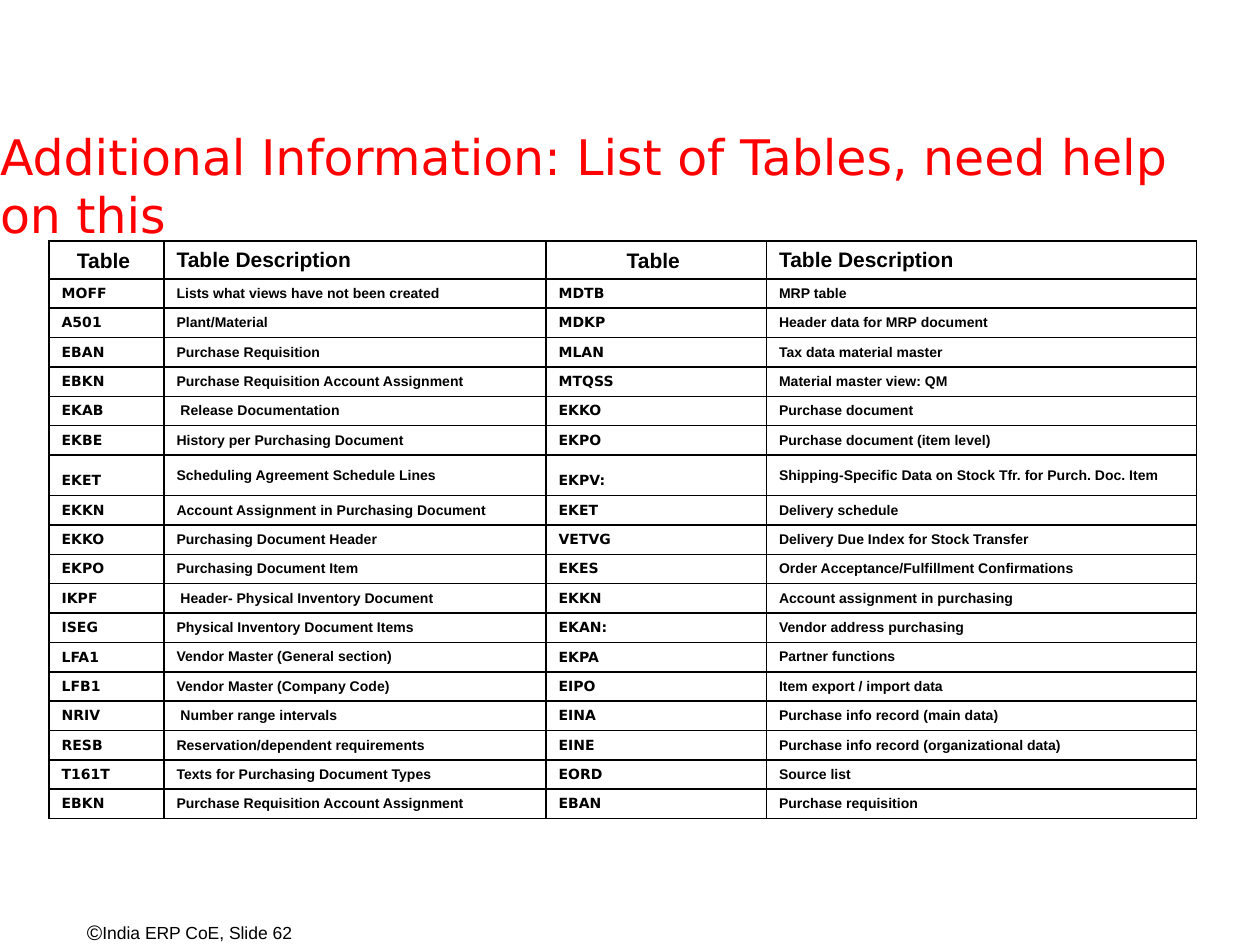
from lxml.etree import SubElement
from pptx import Presentation
from pptx.dml.color import RGBColor
from pptx.enum.text import MSO_ANCHOR, MSO_AUTO_SIZE, PP_ALIGN
from pptx.oxml.ns import qn
from pptx.util import Pt

BLACK = RGBColor(0x00, 0x00, 0x00)
RED = RGBColor(0xFF, 0x00, 0x00)
SANS = "Arial"
WIDE = "DejaVu Sans"

COLUMN_WIDTHS = [65.7, 218.3, 126, 245.7]
HEADER_HEIGHT, ROW_HEIGHT, TALL_HEIGHT = 21.6, 16.8, 23.2
TALL_ROW = 7
HEADER = ("Table ", "Table Description", "Table ", "Table Description")
ROWS = [
    ("MOFF", "Lists what views have not been created", "MDTB", "MRP table"),
    ("A501", "Plant/Material", "MDKP", "Header data for MRP document"),
    ("EBAN", "Purchase Requisition", "MLAN", "Tax data material master"),
    ("EBKN", "Purchase Requisition Account Assignment", "MTQSS",
     "Material master view: QM"),
    ("EKAB", " Release Documentation", "EKKO", "Purchase document"),
    ("EKBE", "History per Purchasing Document", "EKPO",
     "Purchase document (item level)"),
    ("EKET", "Scheduling Agreement Schedule Lines", "EKPV:",
     "Shipping-Specific Data on Stock Tfr. for Purch. Doc. Item"),
    ("EKKN", "Account Assignment in Purchasing Document", "EKET",
     "Delivery schedule"),
    ("EKKO", "Purchasing Document Header", "VETVG",
     "Delivery Due Index for Stock Transfer"),
    ("EKPO", "Purchasing Document Item", "EKES",
     "Order Acceptance/Fulfillment Confirmations"),
    ("IKPF", " Header- Physical Inventory Document", "EKKN",
     "Account assignment in purchasing"),
    ("ISEG", "Physical Inventory Document Items", "EKAN:",
     "Vendor address purchasing"),
    ("LFA1", "Vendor Master (General section)", "EKPA", "Partner functions"),
    ("LFB1", "Vendor Master (Company Code)", "EIPO",
     "Item export / import data"),
    ("NRIV", " Number range intervals", "EINA",
     "Purchase info record (main data)"),
    ("RESB", "Reservation/dependent requirements", "EINE",
     "Purchase info record (organizational data)"),
    ("T161T", "Texts for Purchasing Document Types", "EORD", "Source list"),
    ("EBKN", "Purchase Requisition Account Assignment", "EBAN",
     "Purchase requisition"),
]


def write_text(tf, text, size, font=SANS, color=BLACK, bold=False,
               align=PP_ALIGN.LEFT):
    p = tf.paragraphs[0]
    p.alignment = align
    r = p.add_run()
    r.text = text
    r.font.size = Pt(size)
    r.font.name = font
    r.font.bold = bold
    r.font.color.rgb = color
    return p


def set_frame(tf, anchor):
    """Wrap the text in a frame without insets or autofit."""
    tf.word_wrap = True
    tf.auto_size = MSO_AUTO_SIZE.NONE
    tf.vertical_anchor = anchor
    tf.margin_left = tf.margin_top = tf.margin_right = tf.margin_bottom = 0


def place(sp, left, top, width, height):
    sp.left, sp.top, sp.width, sp.height = map(Pt, (left, top, width, height))


def add_title(slide, text):
    sp = slide.shapes.title
    place(sp, 0, 72, 687.6, 52.6)
    set_frame(sp.text_frame, MSO_ANCHOR.TOP)
    write_text(sp.text_frame, text, 28, font=WIDE, color=RED)


def add_footer(slide, text):
    sp = slide.shapes.add_textbox(Pt(49.7), Pt(528.5), Pt(347), Pt(10.8))
    set_frame(sp.text_frame, MSO_ANCHOR.MIDDLE)
    pPr = sp.text_frame.paragraphs[0]._p.get_or_add_pPr()
    pPr.set("marL", str(Pt(7.2)))
    pPr.set("indent", str(Pt(-7.2)))
    SubElement(pPr, qn("a:buSzPct"), val="120000")
    SubElement(pPr, qn("a:buFont"), typeface=SANS)
    SubElement(pPr, qn("a:buChar"), char="©")
    write_text(sp.text_frame, text, 10).line_spacing = 0.9


def add_borders(cell):
    tcPr = cell._tc.get_or_add_tcPr()
    for side in ("lnL", "lnR", "lnT", "lnB"):
        ln = SubElement(tcPr, qn(f"a:{side}"), w=str(Pt(1)))
        fill = SubElement(ln, qn("a:solidFill"))
        SubElement(fill, qn("a:srgbClr"), val=str(BLACK))


def fill_cell(cell, text, is_header, is_code):
    add_borders(cell)
    cell.fill.background()
    cell.margin_left = cell.margin_right = Pt(7.2)
    cell.margin_top = cell.margin_bottom = Pt(3.6)
    cell.vertical_anchor = MSO_ANCHOR.BOTTOM if is_code else MSO_ANCHOR.MIDDLE
    centred = is_header and is_code
    write_text(cell.text_frame, text, 12 if is_header else 8, bold=True,
               font=WIDE if is_code and not is_header else SANS,
               align=PP_ALIGN.CENTER if centred else PP_ALIGN.LEFT)


def add_code_table(slide):
    rows = [HEADER] + ROWS
    heights = [HEADER_HEIGHT] + [ROW_HEIGHT] * len(ROWS)
    heights[TALL_ROW] = TALL_HEIGHT
    frame = slide.shapes.add_table(
        len(rows), len(HEADER), Pt(28), Pt(137.7),
        Pt(sum(COLUMN_WIDTHS)), Pt(sum(heights)))
    table = frame.table
    table.first_row = table.horz_banding = False
    for column, width in zip(table.columns, COLUMN_WIDTHS):
        column.width = Pt(width)
    for i, (row, height) in enumerate(zip(rows, heights)):
        table.rows[i].height = Pt(height)
        for j, text in enumerate(row):
            fill_cell(table.cell(i, j), text, i == 0, j % 2 == 0)


def main():
    prs = Presentation()
    prs.slide_width, prs.slide_height = Pt(720), Pt(540)
    slide = prs.slides.add_slide(prs.slide_layouts[5])
    add_footer(slide, "India ERP CoE, Slide 62")
    add_title(slide, "Additional Information: List of Tables, need help on this")
    add_code_table(slide)
    prs.save("out.pptx")


if __name__ == "__main__":
    main()
